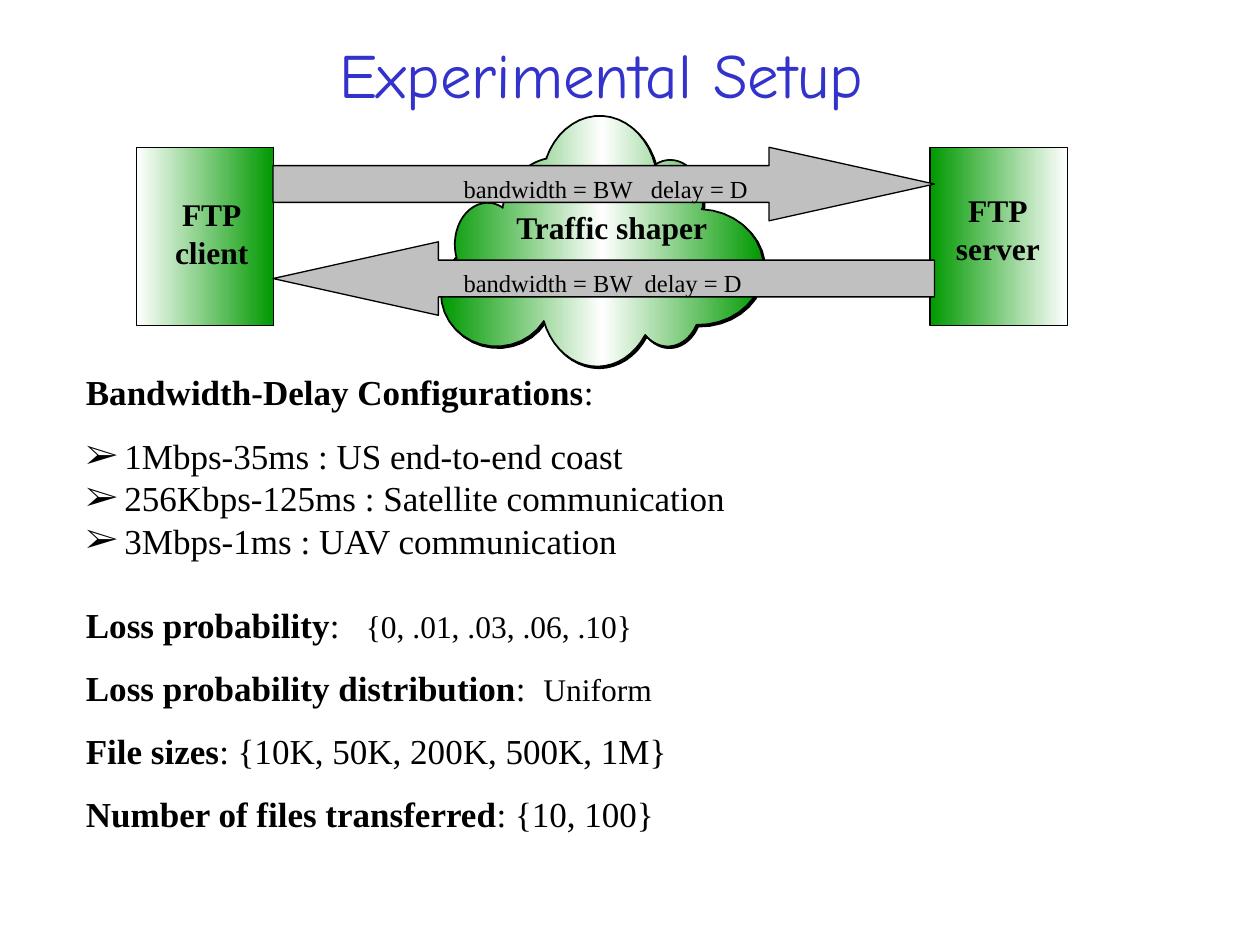
import math
from typing import NamedTuple

from lxml import etree
from pptx import Presentation
from pptx.dml.color import RGBColor
from pptx.enum.shapes import MSO_SHAPE
from pptx.enum.text import MSO_ANCHOR, PP_ALIGN
from pptx.oxml import parse_xml
from pptx.oxml.ns import nsdecls, qn
from pptx.util import Pt

RECTANGLE = MSO_SHAPE.RECTANGLE
RIGHT_ARROW, LEFT_ARROW = MSO_SHAPE.RIGHT_ARROW, MSO_SHAPE.LEFT_ARROW
MIDDLE, TOP = MSO_ANCHOR.MIDDLE, MSO_ANCHOR.TOP
LEFT, CENTER = PP_ALIGN.LEFT, PP_ALIGN.CENTER

COLORS = {"title": "3333CC", "ink": "000000", "green": "009900",
          "white": "FFFFFF", "arrow": "C0C0C0"}
TITLE_FONT, BODY_FONT = "Comic Neue", "Times New Roman"
ARROW_RATIOS = (0.5, 2.25)
CENTERED_LABEL = {"margin_left": Pt(0), "margin_right": Pt(0), "word_wrap": False}


class Box(NamedTuple):
    left: float
    top: float
    width: float
    height: float


class Run(NamedTuple):
    text: str
    size: float = 20
    bold: bool = False


class Line(NamedTuple):
    runs: list[Run]
    space_before: float = 0
    bullet: bool = False
    tab: float = 0


class Host(NamedTuple):
    box: Box
    stops: list[str]
    label_box: Box
    label: list[str]


class Flow(NamedTuple):
    kind: MSO_SHAPE
    box: Box
    label_box: Box
    tab: float


class Lobe(NamedTuple):
    """One elliptical arc of the cloud, beginning at a cusp."""
    start: tuple[float, float]
    center: tuple[float, float]
    radii: tuple[float, float]


HOSTS = [
    Host(Box(78, 84.2, 78.5, 102), ["green", "white"], Box(92.9, 108, 56.2, 50.4), ["FTP", "client"]),
    Host(Box(531.5, 84.2, 78.5, 102), ["white", "green"], Box(539.3, 105.8, 61.9, 50.4), ["FTP", "server"]),
]
FLOWS = [
    Flow(RIGHT_ARROW, Box(156, 84.2, 378, 42), Box(257.8, 95.8, 240, 24.5), 107),
    Flow(LEFT_ARROW, Box(156, 138.2, 378, 42), Box(257.8, 149.8, 186, 24.5), 103.5),
]
LOBES = [
    Lobe((261.4, 147.6), (278.6, 139.7), (18.7, 23.8)),
    Lobe((287.3, 118.8), (318.2, 126), (31.7, 36)),
    Lobe((312.5, 90.7), (342.7, 105.8), (33.1, 39.6)),
    Lobe((374.4, 94.3), (383, 115.2), (18.7, 23.8)),
    Lobe((401, 118.8), (398.9, 152.6), (37.4, 33.1)),
    Lobe((398.2, 185.8), (381.6, 174.2), (18.7, 23.8)),
    Lobe((368.6, 191.5), (341.3, 170.6), (32.4, 38.9)),
    Lobe((310.3, 183.6), (283.7, 167.8), (31.7, 30.2)),
]
SETTINGS = [
    Line([Run("Bandwidth-Delay Configurations", bold=True), Run(":")]),
    Line([Run("1Mbps-35ms : US end-to-end coast")], 13, bullet=True),
    Line([Run("256Kbps-125ms : Satellite communication")], bullet=True),
    Line([Run("3Mbps-1ms : UAV communication")], bullet=True),
    Line([Run("Loss probability", bold=True), Run(":\t"),
          Run("{0, .01, .03, .06, .10}", 18)], 24, tab=160),
    Line([Run("Loss probability distribution", bold=True), Run(":\t"),
          Run("Uniform", 18)], 12, tab=261.5),
    Line([Run("File sizes", bold=True), Run(": {10K, 50K, 200K, 500K, 1M}")], 12),
    Line([Run("Number of files transferred", bold=True), Run(": {10, 100}")], 12),
]


def color(name: str) -> RGBColor:
    return RGBColor.from_string(COLORS[name])


def format_frame(frame, **values) -> None:
    defaults = {"margin_left": Pt(7.2), "margin_right": Pt(7.2), "margin_top": Pt(3.6),
                "margin_bottom": Pt(3.6), "word_wrap": True, "vertical_anchor": TOP}
    for name, value in (defaults | values).items():
        setattr(frame, name, value)


def add_run(paragraph, run: Run, font_name: str = BODY_FONT, ink: str = "ink") -> None:
    text_run = paragraph.add_run()
    text_run.text = run.text
    for name, value in {"name": font_name, "size": Pt(run.size), "bold": run.bold}.items():
        setattr(text_run.font, name, value)
    text_run.font.color.rgb = color(ink)


def add_bullet(properties) -> None:
    properties.set("marL", str(Pt(22)))
    properties.set("indent", str(-Pt(22)))
    bullet_color = etree.SubElement(properties, qn("a:buClr"))
    etree.SubElement(bullet_color, qn("a:srgbClr"), val=COLORS["ink"])
    etree.SubElement(properties, qn("a:buFont"), typeface=BODY_FONT)
    etree.SubElement(properties, qn("a:buChar"), char="➢")


def add_text(slide, box: Box, lines: list[Line], align=LEFT, **frame_values) -> None:
    frame = slide.shapes.add_textbox(*map(Pt, box)).text_frame
    format_frame(frame, **frame_values)
    for index, line in enumerate(lines):
        paragraph = frame.add_paragraph() if index else frame.paragraphs[0]
        paragraph.alignment = align
        paragraph.space_before = Pt(line.space_before)
        properties = paragraph._p.get_or_add_pPr()
        if line.bullet:
            add_bullet(properties)
        if line.tab:
            tabs = etree.SubElement(properties, qn("a:tabLst"))
            etree.SubElement(tabs, qn("a:tab"), pos=str(Pt(line.tab)), algn="l")
        for run in line.runs:
            add_run(paragraph, run)


def set_outline(shape, width: float) -> None:
    shape.shadow.inherit = False
    shape.line.color.rgb = color("ink")
    shape.line.width = Pt(width)


def set_gradient(shape, stops: list[str]) -> None:
    """Fill with evenly spaced stops running from right to left."""
    shape.fill.background()
    step = 100000 // (len(stops) - 1)
    stop_xml = "".join(f'<a:gs pos="{index * step}"><a:srgbClr val="{COLORS[name]}"/></a:gs>'
                       for index, name in enumerate(stops))
    gradient = parse_xml(f'<a:gradFill {nsdecls("a")} rotWithShape="1"><a:gsLst>{stop_xml}'
                         '</a:gsLst><a:lin ang="10800000" scaled="0"/></a:gradFill>')
    properties = shape._element.spPr
    properties.replace(properties.find(qn("a:noFill")), gradient)


def arc_points(lobe: Lobe, end: tuple[float, float], steps: int = 18) -> list[tuple[int, int]]:
    (center_x, center_y), (radius_x, radius_y) = lobe.center, lobe.radii
    first, last = (math.atan2((y - center_y) / radius_y, (x - center_x) / radius_x)
                   for x, y in (lobe.start, end))
    sweep = (last - first) % math.tau
    angles = [first + sweep * step / steps for step in range(steps + 1)]
    return [(Pt(center_x + radius_x * math.cos(angle)), Pt(center_y + radius_y * math.sin(angle)))
            for angle in angles]


def add_cloud(slide) -> None:
    points = []
    for lobe, following in zip(LOBES, LOBES[1:] + LOBES[:1]):
        points += arc_points(lobe, following.start)
    builder = slide.shapes.build_freeform(*points[0])
    builder.add_line_segments(points[1:], close=True)
    cloud = builder.convert_to_shape()
    set_outline(cloud, 1)
    set_gradient(cloud, ["green", "white", "green"])
    effects = cloud._element.spPr.find(qn("a:effectLst"))
    shadow = etree.SubElement(effects, qn("a:outerShdw"), dist=str(Pt(1.4)), dir="2700000")
    etree.SubElement(shadow, qn("a:srgbClr"), val=COLORS["ink"])


def add_host(slide, host: Host) -> None:
    rectangle = slide.shapes.add_shape(RECTANGLE, *map(Pt, host.box))
    set_outline(rectangle, 0.75)
    set_gradient(rectangle, host.stops)
    lines = [Line([Run(text, 18, True)]) for text in host.label]
    add_text(slide, host.label_box, lines, CENTER, **CENTERED_LABEL)


def add_flow(slide, flow: Flow) -> None:
    arrow = slide.shapes.add_shape(flow.kind, *map(Pt, flow.box))
    for index, ratio in enumerate(ARROW_RATIOS):
        arrow.adjustments[index] = ratio
    set_outline(arrow, 0.75)
    arrow.fill.solid()
    arrow.fill.fore_color.rgb = color("arrow")
    add_text(slide, flow.label_box, [Line([Run("bandwidth = BW\tdelay = D", 14)], tab=flow.tab)])


def add_title(slide) -> None:
    title = slide.shapes.title
    title.left, title.top, title.width, title.height = map(Pt, Box(30, 12, 627, 60))
    format_frame(title.text_frame, vertical_anchor=MIDDLE)
    paragraph = title.text_frame.paragraphs[0]
    paragraph.alignment = CENTER
    add_run(paragraph, Run("Experimental Setup", 36), TITLE_FONT, "title")


def main() -> None:
    presentation = Presentation()
    presentation.slide_width, presentation.slide_height = Pt(720), Pt(540)
    slide = presentation.slides.add_slide(presentation.slide_layouts[5])
    add_title(slide)
    add_cloud(slide)
    for host in HOSTS:
        add_host(slide, host)
    add_text(slide, Box(287.3, 115.2, 124.6, 28.8), [Line([Run("Traffic shaper", 18, True)])],
             CENTER, **CENTERED_LABEL)
    for flow in FLOWS:
        add_flow(slide, flow)
    add_text(slide, Box(42, 204, 606, 300), SETTINGS, margin_top=Pt(7.5))
    presentation.save("out.pptx")


if __name__ == "__main__":
    main()
